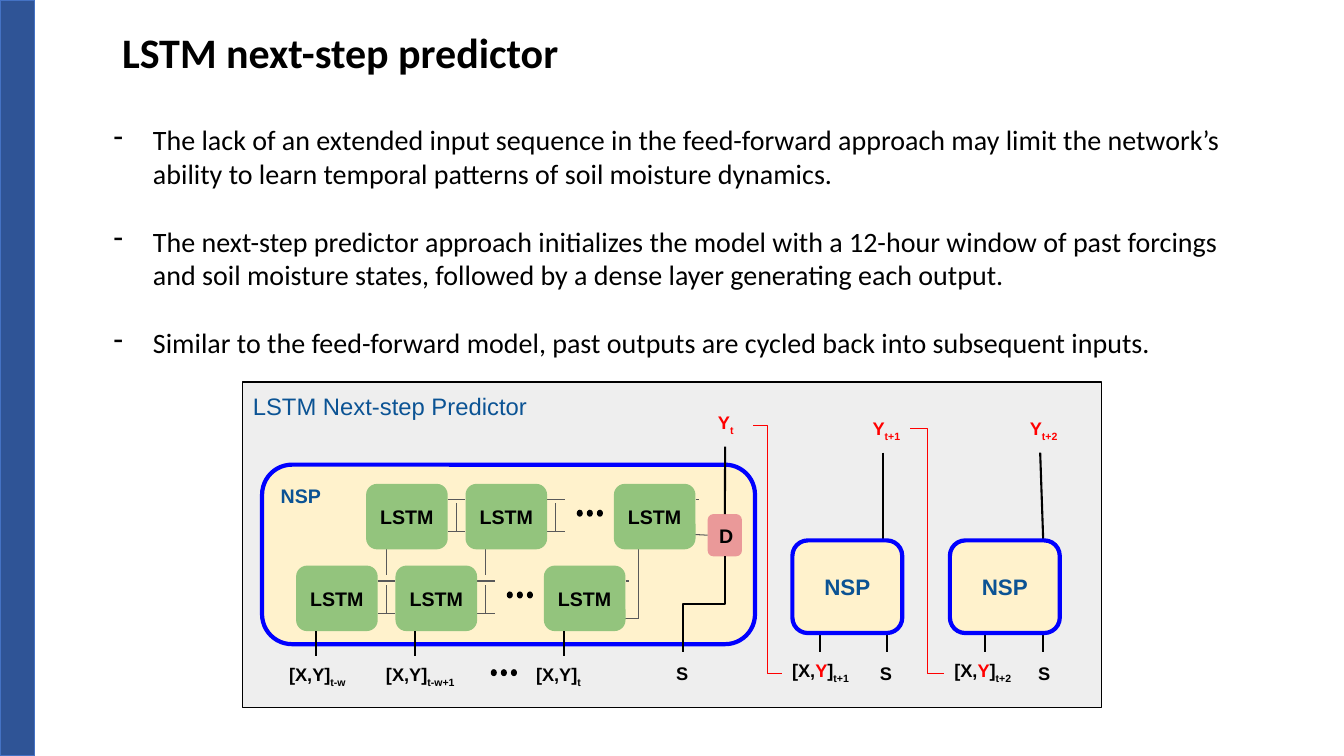
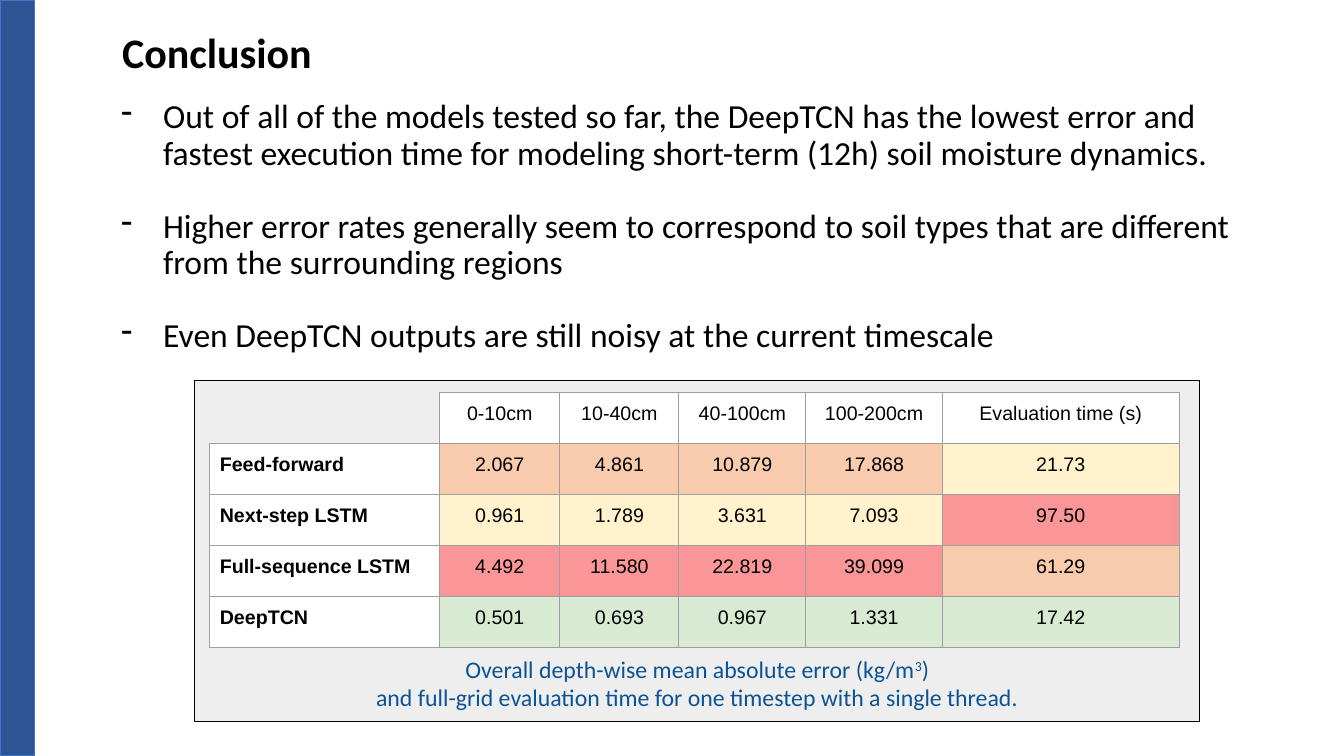
from dataclasses import dataclass
from typing import Optional

from lxml.etree import SubElement
from pptx import Presentation
from pptx.dml.color import RGBColor
from pptx.enum.shapes import MSO_CONNECTOR, MSO_SHAPE
from pptx.enum.text import MSO_ANCHOR, MSO_AUTO_SIZE, PP_ALIGN
from pptx.oxml.ns import qn
from pptx.presentation import Presentation as PresentationType
from pptx.shapes.autoshape import Shape
from pptx.shapes.connector import Connector
from pptx.slide import Slide
from pptx.table import _Cell
from pptx.text.text import TextFrame, _Paragraph
from pptx.util import Pt

BLACK = RGBColor(0x00, 0x00, 0x00)
WHITE = RGBColor(0xFF, 0xFF, 0xFF)
RED = RGBColor(0xFF, 0x00, 0x00)
BAND_BLUE = RGBColor(0x2F, 0x54, 0x96)
BAND_EDGE = RGBColor(0x44, 0x72, 0xC4)
TEXT_BLUE = RGBColor(0x0B, 0x53, 0x94)
FRAME_BLUE = RGBColor(0x00, 0x00, 0xFF)
PANEL_GREY = RGBColor(0xEE, 0xEE, 0xEE)
LINK_GREY = RGBColor(0x59, 0x59, 0x59)
BORDER_GREY = RGBColor(0x9E, 0x9E, 0x9E)
CREAM = RGBColor(0xFF, 0xF2, 0xCC)
LSTM_GREEN = RGBColor(0x93, 0xC4, 0x7D)
DENSE_PINK = RGBColor(0xEA, 0x99, 0x99)
BEST_GREEN = RGBColor(0xD9, 0xEA, 0xD3)
ORANGE = RGBColor(0xF8, 0xCB, 0xAD)
WORST_RED = RGBColor(0xFB, 0x96, 0x98)

SLIDE_WIDTH, SLIDE_HEIGHT = 960, 540
MARGIN = 7.2
CELL_WIDTH, CELL_HEIGHT = 58.3, 46.8


@dataclass(frozen=True)
class Box:
    left: float
    top: float
    width: float
    height: float


@dataclass(frozen=True)
class TextStyle:
    size: float
    color: RGBColor = BLACK
    bold: bool = False
    name: str = "Arial"


@dataclass(frozen=True)
class Piece:
    text: str
    color: Optional[RGBColor] = None
    baseline: int = 0


@dataclass(frozen=True)
class Step:
    index: str
    block_left: float
    output_left: float
    input_left: float
    static_left: float
    input_stem: float
    static_stem: float
    output_top_x: float
    output_bottom_x: float


@dataclass(frozen=True)
class ResultRow:
    model: str
    errors: tuple[str, ...]
    error_fill: RGBColor
    time: str
    time_fill: RGBColor


TITLE_STYLE = TextStyle(30, bold=True, name="Calibri")
LABEL_STYLE = TextStyle(13, bold=True)
CELL_STYLE = TextStyle(14, bold=True)

STEPS = (
    Step("t+1", 566, 611.3, 558.7, 621.4, 586, 633.6, 630.7, 630.7),
    Step("t+2", 678.5, 723.6, 674.6, 734.4, 703.4, 745.2, 743, 745.2),
)
HEADINGS = ("0-10cm", "10-40cm", "40-100cm", "100-200cm", "Evaluation time (s)")
RESULTS = (
    ResultRow("Feed-forward", ("2.067", "4.861", "10.879", "17.868"), ORANGE, "21.73", CREAM),
    ResultRow("Next-step LSTM", ("0.961", "1.789", "3.631", "7.093"), CREAM, "97.50", WORST_RED),
    ResultRow("Full-sequence LSTM", ("4.492", "11.580", "22.819", "39.099"), WORST_RED, "61.29", ORANGE),
    ResultRow("DeepTCN", ("0.501", "0.693", "0.967", "1.331"), BEST_GREEN, "17.42", BEST_GREEN),
)
COLUMN_WIDTHS = (164.2, 86, 85, 90.7, 97.5, 169.2)


def style_paragraph(paragraph: _Paragraph, style: TextStyle, alignment: PP_ALIGN = PP_ALIGN.LEFT) -> None:
    paragraph.alignment = alignment
    paragraph.font.size = Pt(style.size)
    paragraph.font.name = style.name
    paragraph.font.bold = style.bold
    paragraph.font.color.rgb = style.color


def write_pieces(paragraph: _Paragraph, pieces: tuple[Piece, ...], style: TextStyle,
                 alignment: PP_ALIGN = PP_ALIGN.LEFT) -> None:
    style_paragraph(paragraph, style, alignment)
    for piece in pieces:
        run = paragraph.add_run()
        run.text = piece.text
        if piece.color is not None:
            run.font.color.rgb = piece.color
        if piece.baseline:
            run._r.get_or_add_rPr().set("baseline", str(piece.baseline * 1000))


def set_frame(frame: TextFrame, anchor: MSO_ANCHOR, vertical_margin: float = MARGIN) -> None:
    frame.word_wrap = True
    frame.auto_size = MSO_AUTO_SIZE.NONE
    frame.vertical_anchor = anchor
    frame.margin_left = frame.margin_right = Pt(MARGIN)
    frame.margin_top = frame.margin_bottom = Pt(vertical_margin)


def add_box(slide: Slide, box: Box, fill: RGBColor, line: Optional[RGBColor] = None, line_width: float = 0.75,
            kind: MSO_SHAPE = MSO_SHAPE.RECTANGLE, text: str = "", style: TextStyle = CELL_STYLE,
            alignment: PP_ALIGN = PP_ALIGN.LEFT, anchor: MSO_ANCHOR = MSO_ANCHOR.TOP) -> Shape:
    shape = slide.shapes.add_shape(kind, Pt(box.left), Pt(box.top), Pt(box.width), Pt(box.height))
    shape.shadow.inherit = False
    shape.fill.solid()
    shape.fill.fore_color.rgb = fill
    if line is None:
        shape.line.fill.background()
    else:
        shape.line.color.rgb = line
        shape.line.width = Pt(line_width)
    set_frame(shape.text_frame, anchor)
    if text:
        write_pieces(shape.text_frame.paragraphs[0], (Piece(text),), style, alignment)
    return shape


def add_block(slide: Slide, box: Box, fill: RGBColor, text: str, style: TextStyle = CELL_STYLE,
              line: Optional[RGBColor] = None, alignment: PP_ALIGN = PP_ALIGN.CENTER,
              anchor: MSO_ANCHOR = MSO_ANCHOR.MIDDLE) -> Shape:
    return add_box(slide, box, fill, line, 3, MSO_SHAPE.ROUNDED_RECTANGLE, text, style, alignment, anchor)


def add_label(slide: Slide, box: Box, *pieces: Piece, alignment: PP_ALIGN = PP_ALIGN.LEFT) -> Shape:
    shape = slide.shapes.add_textbox(Pt(box.left), Pt(box.top), Pt(box.width), Pt(box.height))
    set_frame(shape.text_frame, MSO_ANCHOR.BOTTOM)
    write_pieces(shape.text_frame.paragraphs[0], pieces, LABEL_STYLE, alignment)
    return shape


def add_line(slide: Slide, x1: float, y1: float, x2: float, y2: float, color: RGBColor = LINK_GREY,
             width: float = 0.75, kind: MSO_CONNECTOR = MSO_CONNECTOR.STRAIGHT) -> Connector:
    connector = slide.shapes.add_connector(kind, Pt(x1), Pt(y1), Pt(x2), Pt(y2))
    connector.line.color.rgb = color
    connector.line.width = Pt(width)
    SubElement(connector._element.spPr, qn("a:effectLst"))
    return connector


def add_stem(slide: Slide, x1: float, y1: float, x2: float, y2: float) -> Connector:
    return add_line(slide, x1, y1, x2, y2, BLACK, 1.5)


def add_feedback(slide: Slide, output: Shape, target: Shape) -> None:
    connector = add_line(slide, 0, 0, 1, 1, RED, kind=MSO_CONNECTOR.ELBOW)
    connector.begin_connect(output, 3)
    connector.end_connect(target, 1)


def add_dots(slide: Slide, left: float, top: float) -> None:
    for index in range(3):
        add_box(slide, Box(left + index * MARGIN, top, 4.3, 5), BLACK, kind=MSO_SHAPE.OVAL)


def add_bullets(slide: Slide, box: Box, texts: tuple[str, ...], size: float, hanging: float, gap: float,
                line_spacing: float, vertical_margin: float) -> None:
    shape = slide.shapes.add_textbox(Pt(box.left), Pt(box.top), Pt(box.width), Pt(box.height))
    frame = shape.text_frame
    set_frame(frame, MSO_ANCHOR.TOP, vertical_margin)
    for index, text in enumerate(texts):
        paragraph = frame.paragraphs[0] if index == 0 else frame.add_paragraph()
        paragraph.line_spacing = line_spacing
        paragraph.space_before = Pt(gap if index else 0)
        properties = paragraph._p.get_or_add_pPr()
        properties.set("marL", str(Pt(36)))
        properties.set("indent", str(Pt(-hanging)))
        bullet_color = SubElement(properties, qn("a:buClr"))
        SubElement(bullet_color, qn("a:srgbClr"), val=str(BLACK))
        SubElement(properties, qn("a:buChar"), char="-")
        write_pieces(paragraph, (Piece(text),), TextStyle(size, name="Calibri"))


def add_titled_slide(presentation: PresentationType, text: str) -> Slide:
    slide = presentation.slides.add_slide(presentation.slide_layouts[5])
    add_box(slide, Box(0, 0, 24.5, SLIDE_HEIGHT), BAND_BLUE, BAND_EDGE, 1)
    title = slide.shapes.title
    title.left, title.top, title.width, title.height = Pt(66.2), Pt(19.4), Pt(828), Pt(62.6)
    set_frame(title.text_frame, MSO_ANCHOR.TOP, 3.6)
    title.text_frame.margin_left = Pt(21)
    paragraph = title.text_frame.paragraphs[0]
    paragraph.line_spacing = 0.9
    write_pieces(paragraph, (Piece(text),), TITLE_STYLE)
    return slide


def add_lstm_row(slide: Slide, left: float, top: float) -> None:
    lefts = [left + offset for offset in (0, 71, 177)]
    for cell_left in lefts[:2]:
        for level in (11, 34):
            add_line(slide, cell_left + CELL_WIDTH, top + level, cell_left + 71, top + level)
        add_line(slide, cell_left + 64.5, top + 14, cell_left + 64.5, top + 34)
    add_line(slide, lefts[2] + CELL_WIDTH, top + 11, lefts[2] + 61, top + 11)
    for cell_left in lefts:
        add_block(slide, Box(cell_left, top, CELL_WIDTH, CELL_HEIGHT), LSTM_GREEN, "LSTM")
    add_dots(slide, left + 150.5, top + 18.5)


def add_unrolled_predictor(slide: Slide) -> Shape:
    lower_left, lower_top, upper_left, upper_top = 211.5, 404, 261.5, 345.6
    add_block(slide, Box(187.2, 331.9, 352.1, 128.2), CREAM, "NSP", TextStyle(14, TEXT_BLUE, True),
              FRAME_BLUE, PP_ALIGN.LEFT, MSO_ANCHOR.TOP)
    dense = add_block(slide, Box(505.5, 367.2, 24.5, 30.2), DENSE_PINK, "D", alignment=PP_ALIGN.LEFT)
    add_line(slide, 505.5, 382.3, 452.2, 379.4).begin_connect(dense, 1)
    add_line(slide, 443.5, 442, 456, 442)
    add_line(slide, 456, 381, 456, 442)
    for offset in (0, 71):
        x = upper_left + offset + 14.4
        add_line(slide, x, upper_top + CELL_HEIGHT, x, upper_top + 65)
    add_lstm_row(slide, lower_left, lower_top)
    add_lstm_row(slide, upper_left, upper_top)
    for offset in (0, 71, 177):
        x = lower_left + offset + 14.2
        add_stem(slide, x, lower_top + CELL_HEIGHT, x, 468.7)
    for label_left, index in ((199.4, "t-w"), (268.6, "t-w+1"), (375.8, "t")):
        add_label(slide, Box(label_left, 468.7, 78.5, 30.2), Piece("[X,Y]"), Piece(index, baseline=-25))
    add_dots(slide, 350.6, 478)
    add_label(slide, Box(475.9, 465.8, 24.5, 30.2), Piece("S"))
    add_stem(slide, 518, 319, 518, 367.2).end_connect(dense, 0)
    static_path = add_line(slide, 468.7, 416.2, 537.1, 446.4, BLACK, 1.5, MSO_CONNECTOR.ELBOW)
    static_path._element.spPr.xfrm.set("rot", str(270 * 60000))
    return add_label(slide, Box(499, 288.7, 38.9, 30.2), Piece("Y", RED), Piece("t", RED, -25),
                     alignment=PP_ALIGN.CENTER)


def add_step(slide: Slide, step: Step, previous_output: Shape) -> Shape:
    add_stem(slide, step.output_top_x, 323.3, step.output_bottom_x, 387)
    for x in (step.input_stem, step.static_stem):
        add_stem(slide, x, 452, x, 465.8)
    add_block(slide, Box(step.block_left, 386, 78.5, 66.2), CREAM, "NSP", TextStyle(16, TEXT_BLUE, True), FRAME_BLUE)
    inputs = add_label(slide, Box(step.input_left, 465.8, 78.5, 30.2), Piece("[X,"), Piece("Y", RED),
                       Piece("]"), Piece(step.index, baseline=-25))
    add_label(slide, Box(step.static_left, 465.8, 24.5, 30.2), Piece("S"))
    add_feedback(slide, previous_output, inputs)
    return add_label(slide, Box(step.output_left, 288.7, 38.9, 34.6), Piece("Y", RED),
                     Piece(step.index, RED, -25), alignment=PP_ALIGN.RIGHT)


def build_predictor_slide(presentation: PresentationType) -> None:
    slide = add_titled_slide(presentation, "LSTM next-step predictor")
    add_box(slide, Box(173.5, 272.9, 613.4, 232.6), PANEL_GREY, BLACK,
            text="LSTM Next-step Predictor", style=TextStyle(17, TEXT_BLUE))
    output = add_unrolled_predictor(slide)
    for step in STEPS:
        output = add_step(slide, step, output)
    add_bullets(slide, Box(66.2, 80.6, 828, 184.3), (
        "The lack of an extended input sequence in the feed-forward approach may limit the network’s "
        "ability to learn temporal patterns of soil moisture dynamics.",
        "The next-step predictor approach initializes the model with a 12-hour window of past forcings "
        "and soil moisture states, followed by a dense layer generating each output.",
        "Similar to the feed-forward model, past outputs are cycled back into subsequent inputs.",
    ), 20, 28, 24.4, 1.0, MARGIN)


def fill_cell(cell: _Cell, text: str, fill: Optional[RGBColor], bold: bool = False,
              alignment: PP_ALIGN = PP_ALIGN.CENTER) -> None:
    cell.margin_left = cell.margin_right = cell.margin_top = cell.margin_bottom = Pt(MARGIN)
    cell.text = text
    style_paragraph(cell.text_frame.paragraphs[0], TextStyle(14, bold=bold), alignment)
    properties = cell._tc.get_or_add_tcPr()
    for side in ("lnL", "lnR", "lnT", "lnB"):
        border = SubElement(properties, qn(f"a:{side}"), w=str(Pt(0.75)))
        if fill is None and side in ("lnL", "lnT"):
            SubElement(border, qn("a:noFill"))
        else:
            SubElement(SubElement(border, qn("a:solidFill")), qn("a:srgbClr"), val=str(BORDER_GREY))
    if fill is None:
        cell.fill.background()
    else:
        cell.fill.solid()
        cell.fill.fore_color.rgb = fill


def add_results_table(slide: Slide) -> None:
    row_count = len(RESULTS) + 1
    frame = slide.shapes.add_table(row_count, len(COLUMN_WIDTHS), Pt(149.8), Pt(280.1),
                                   Pt(sum(COLUMN_WIDTHS)), Pt(36.45 * row_count))
    table = frame.table
    table.first_row = table.horz_banding = False
    for column, width in zip(table.columns, COLUMN_WIDTHS):
        column.width = Pt(width)
    fill_cell(table.cell(0, 0), "", None)
    for column_index, heading in enumerate(HEADINGS, 1):
        fill_cell(table.cell(0, column_index), heading, WHITE)
    for row_index, result in enumerate(RESULTS, 1):
        fill_cell(table.cell(row_index, 0), result.model, WHITE, True, PP_ALIGN.LEFT)
        for column_index, error in enumerate(result.errors, 1):
            fill_cell(table.cell(row_index, column_index), error, result.error_fill)
        fill_cell(table.cell(row_index, len(HEADINGS)), result.time, result.time_fill)


def build_conclusion_slide(presentation: PresentationType) -> None:
    slide = add_titled_slide(presentation, "Conclusion")
    add_bullets(slide, Box(73.4, 67.7, 848.2, 190.1), (
        "Out of all of the models tested so far, the DeepTCN has the lowest error and fastest "
        "execution time for modeling short-term (12h) soil moisture dynamics.",
        "Higher error rates generally seem to correspond to soil types that are different "
        "from the surrounding regions",
        "Even DeepTCN outputs are still noisy at the current timescale",
    ), 24, 30, 26.4, 0.9, 3.6)
    panel = add_box(slide, Box(139, 272, 718, 243.4), PANEL_GREY, BLACK, anchor=MSO_ANCHOR.BOTTOM)
    caption_style = TextStyle(17, TEXT_BLUE, name="Calibri")
    write_pieces(panel.text_frame.paragraphs[0], (
        Piece("Overall depth-wise mean absolute error (kg/m"), Piece("3", baseline=30), Piece(")"),
    ), caption_style, PP_ALIGN.CENTER)
    write_pieces(panel.text_frame.add_paragraph(), (
        Piece("and full-grid evaluation time for one timestep with a single thread."),
    ), caption_style, PP_ALIGN.CENTER)
    add_results_table(slide)


def main() -> None:
    presentation = Presentation()
    presentation.slide_width, presentation.slide_height = Pt(SLIDE_WIDTH), Pt(SLIDE_HEIGHT)
    build_predictor_slide(presentation)
    build_conclusion_slide(presentation)
    presentation.save("out.pptx")


if __name__ == "__main__":
    main()
